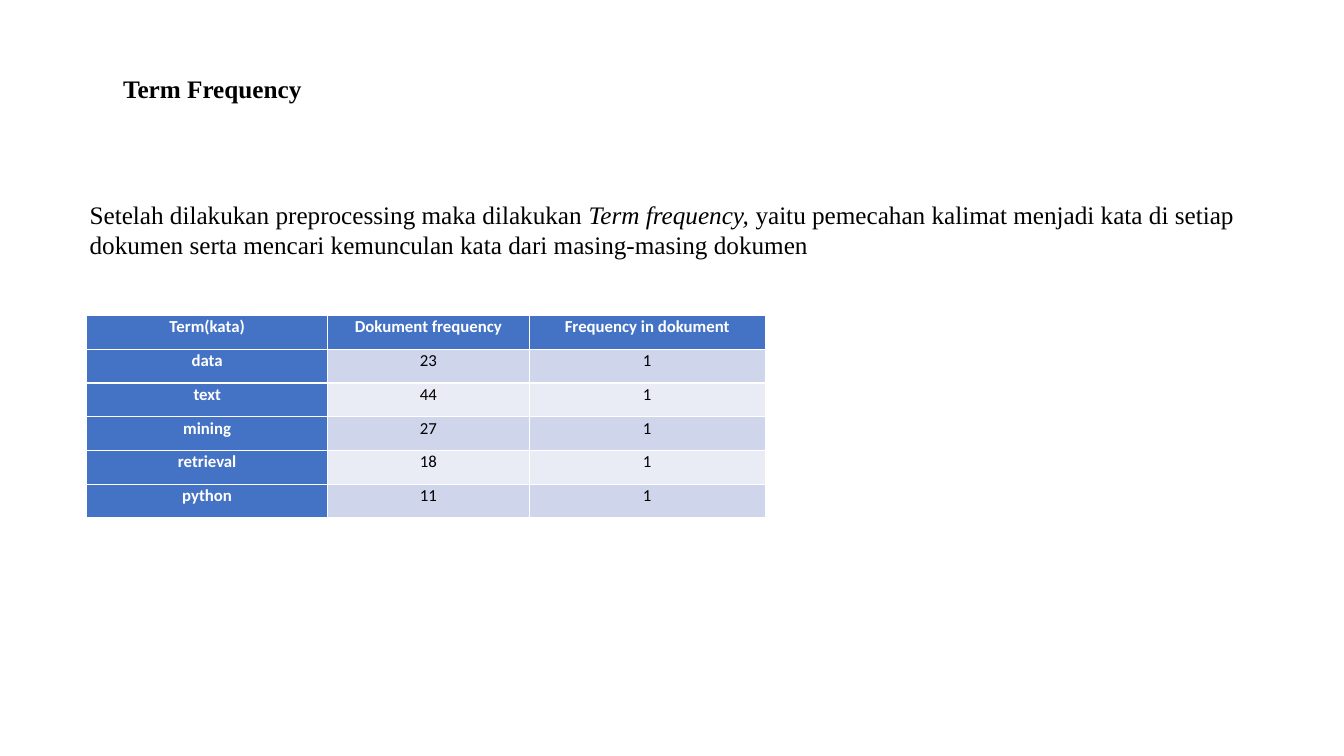
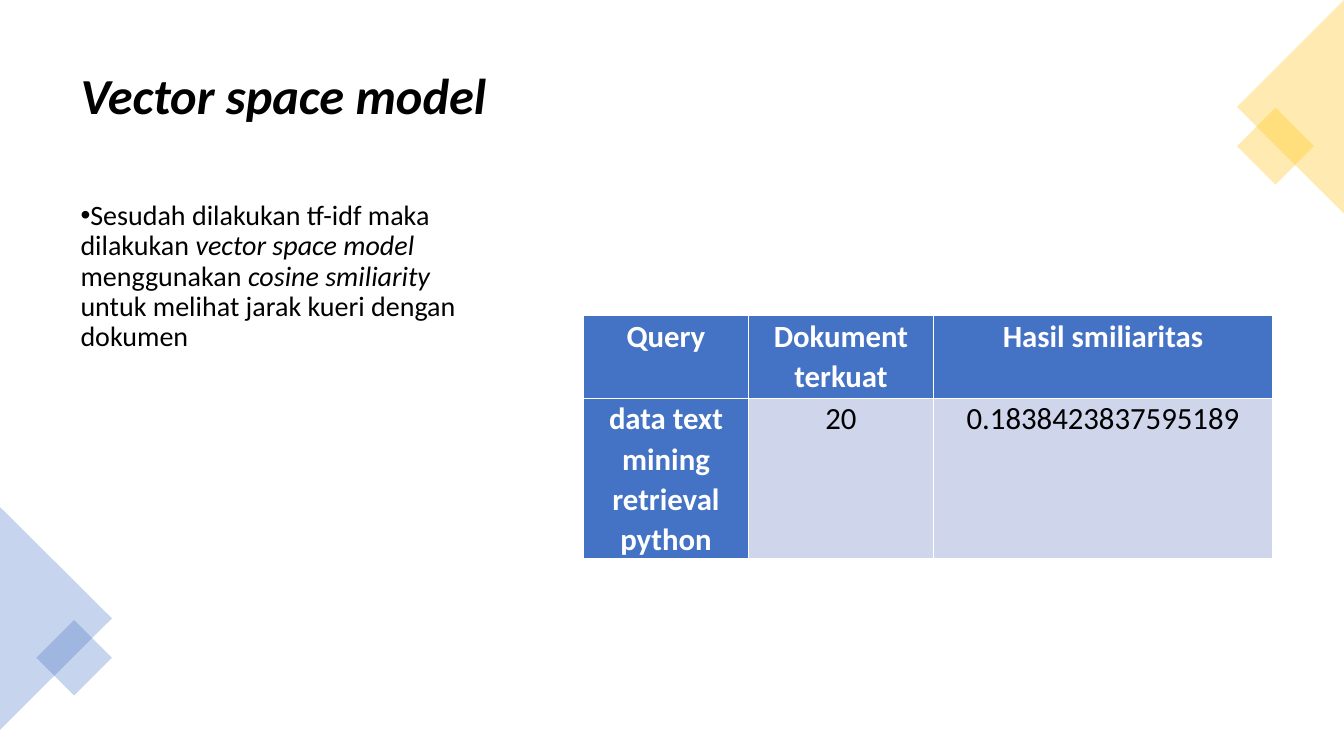
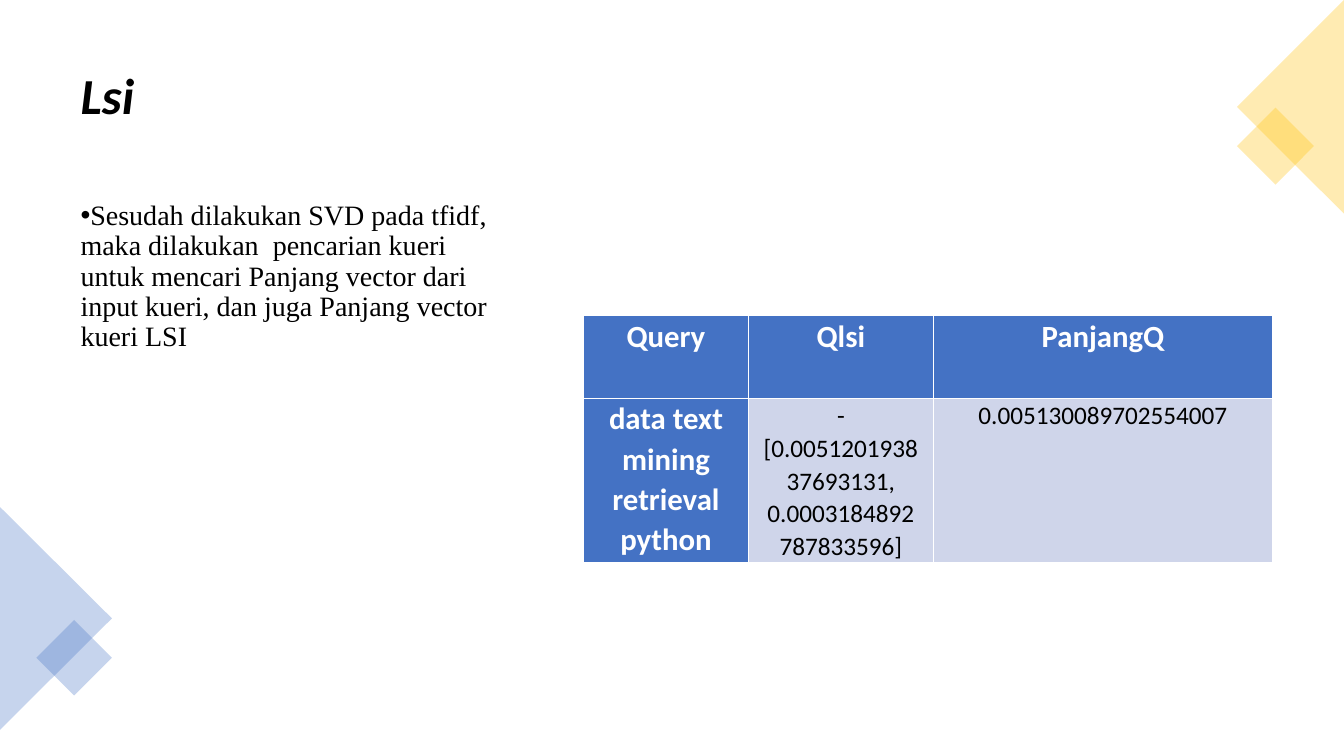
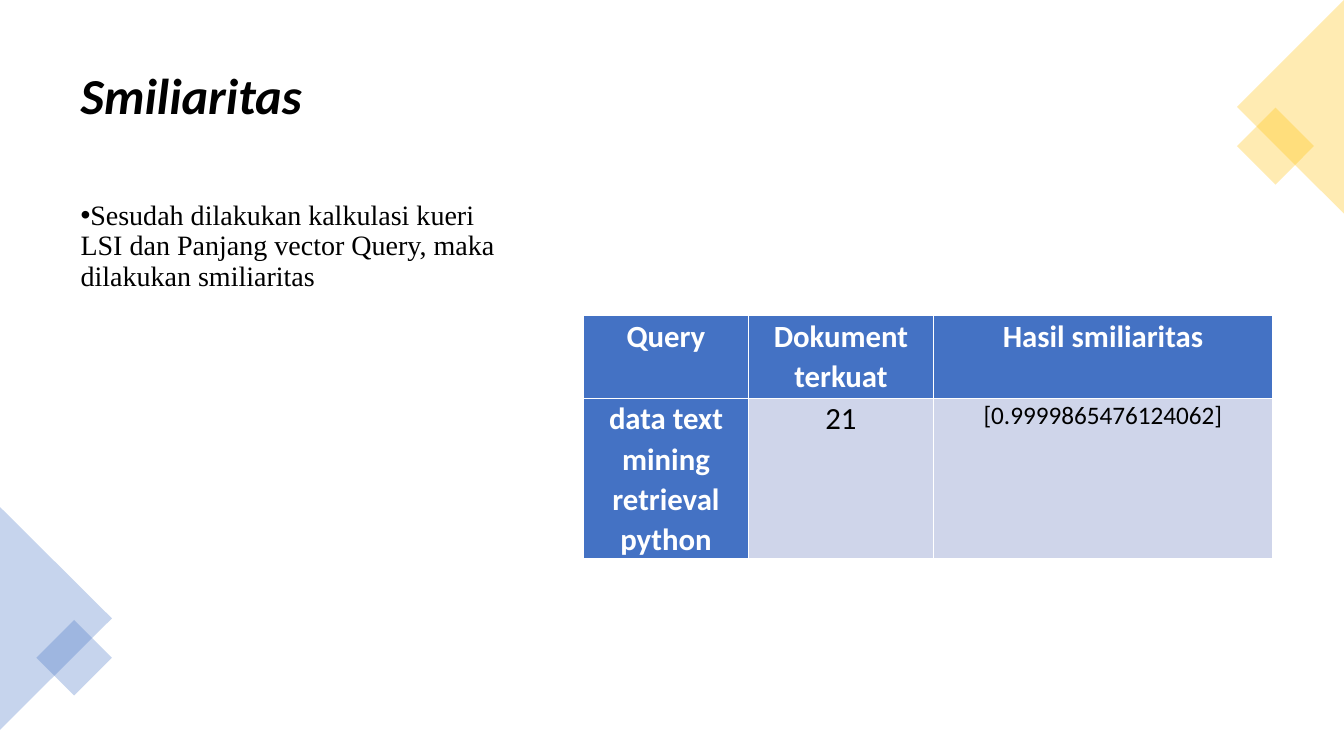
from lxml import etree
from pptx import Presentation
from pptx.dml.color import RGBColor
from pptx.enum.shapes import MSO_SHAPE
from pptx.enum.text import MSO_ANCHOR, MSO_AUTO_SIZE, PP_ALIGN
from pptx.oxml.ns import qn
from pptx.util import Inches, Pt

LEFT, CENTER = PP_ALIGN.LEFT, PP_ALIGN.CENTER
TOP, MIDDLE = MSO_ANCHOR.TOP, MSO_ANCHOR.MIDDLE
NO_AUTOFIT = MSO_AUTO_SIZE.NONE
TRIANGLE, SQUARE = MSO_SHAPE.ISOSCELES_TRIANGLE, MSO_SHAPE.RECTANGLE

BLACK = RGBColor(0x00, 0x00, 0x00)
WHITE = RGBColor(0xFF, 0xFF, 0xFF)
BLUE = RGBColor(0x44, 0x72, 0xC4)
GOLD = RGBColor(0xFF, 0xC0, 0x00)
DARK_BAND = RGBColor(0xCF, 0xD5, 0xEA)
LIGHT_BAND = RGBColor(0xE9, 0xEB, 0xF5)
SANS, SERIF = "Calibri", "Times New Roman"

# Corner ornaments: preset, left, top, width, height, rotation, colour
ORNAMENTS = [
    (TRIANGLE, -0.55, 5.58, 2.21, 1.11, 90, BLUE),
    (SQUARE, 0.47, 6.26, 0.53, 0.53, 45, BLUE),
    (SQUARE, 12.38, 1.18, 0.54, 0.54, 45, GOLD),
    (TRIANGLE, 11.74, 0.53, 2.12, 1.06, 270, GOLD),
]

presentation = Presentation()
presentation.slide_width = Inches(13.33)
presentation.slide_height = Inches(7.5)
title_only = presentation.slide_layouts[5]


def write_text(shape, box, segments, font_name, size, anchor=TOP):
    """Place a text shape and fill one paragraph; every second segment is italic."""
    shape.left, shape.top, shape.width, shape.height = map(Inches, box)
    text_frame = shape.text_frame
    text_frame.word_wrap = True
    text_frame.auto_size = NO_AUTOFIT
    text_frame.vertical_anchor = anchor
    paragraph = text_frame.paragraphs[0]
    paragraph.alignment = LEFT
    for index, segment in enumerate(segments):
        run = paragraph.add_run()
        run.text = segment
        run.font.name, run.font.size = font_name, Pt(size)
        run.font.color.rgb = BLACK
        run.font.italic = index % 2 == 1
    return paragraph


def add_data_table(slide, left, column_widths, row_heights, rows, margin, size, body_sizes):
    """Add a centred table with a blue header row and a blue first column."""
    frame = slide.shapes.add_table(
        len(rows), len(column_widths), Inches(left), Inches(3.13),
        Inches(sum(column_widths)), Inches(sum(row_heights)))
    table = frame.table
    table.first_col = True
    for column, width in zip(table.columns, column_widths):
        column.width = Inches(width)
    for row, height in zip(table.rows, row_heights):
        row.height = Inches(height)
    for row_index, texts in enumerate(rows):
        for column_index, text in enumerate(texts):
            cell = table.cell(row_index, column_index)
            is_heading = row_index == 0 or column_index == 0
            band = DARK_BAND if row_index % 2 else LIGHT_BAND
            cell.fill.solid()
            cell.fill.fore_color.rgb = BLUE if is_heading else band
            cell.margin_left = cell.margin_right = Inches(margin)
            cell.margin_top = cell.margin_bottom = 0
            paragraph = cell.text_frame.paragraphs[0]
            paragraph.text = text
            paragraph.alignment = CENTER
            paragraph.line_spacing = 1.07
            paragraph.space_after = Pt(8)
            font = paragraph.runs[0].font
            font.name = SANS
            font.size = Pt(size if is_heading else body_sizes[column_index - 1])
            font.bold = is_heading
            font.color.rgb = WHITE if is_heading else BLACK


# Term frequency slide
slide = presentation.slides.add_slide(title_only)
title = write_text(slide.shapes.title, (1.12, 0.68, 6.66, 0.4), ["Term Frequency"], SERIF, 18)
title.runs[0].font.bold = True
explanation = slide.shapes.add_textbox(0, 0, 0, 0)
write_text(explanation, (0.79, 1.93, 12.31, 0.71), [
    "Setelah dilakukan preprocessing maka dilakukan ",
    "Term frequency, ",
    "yaitu pemecahan kalimat menjadi kata di setiap dokumen serta mencari "
    "kemunculan kata dari masing-masing dokumen",
], SERIF, 18)
term_rows = [
    ("Term(kata)", "Dokument frequency", "Frequency in dokument"),
    ("data", "23", "1"),
    ("text", "44", "1"),
    ("mining", "27", "1"),
    ("retrieval", "18", "1"),
    ("python", "11", "1"),
]
add_data_table(slide, 0.86, (2.39, 2, 2.34), [2.01 / 6] * 6, term_rows, 0.07, 12, (12, 12))

# Query slides: title, body segments, body font, table header, table values, value sizes
QUERY = "data text mining retrieval python"
SIMILARITY_HEADER = ("Query", "Dokument terkuat", "Hasil smiliaritas")
query_slides = [
    ("Vector space model",
     ["Sesudah dilakukan tf-idf maka dilakukan ", "vector space model ", "menggunakan ",
      "cosine smiliarity ", "untuk melihat jarak kueri dengan dokumen"],
     SANS, SIMILARITY_HEADER, ("20", "0.1838423837595189"), (22, 22)),
    ("Lsi",
     ["Sesudah dilakukan SVD pada tfidf, maka dilakukan  pencarian kueri untuk mencari "
      "Panjang vector dari input kueri, dan juga Panjang vector kueri LSI"],
     SERIF, ("Query", "Qlsi", "PanjangQ"),
     ("-[0.005120193837693131, 0.0003184892787833596]", "0.005130089702554007"), (18, 18)),
    ("Smiliaritas",
     ["Sesudah dilakukan kalkulasi kueri LSI dan Panjang vector Query, maka dilakukan "
      "smiliaritas"],
     SERIF, SIMILARITY_HEADER, ("21", "[0.9999865476124062]"), (22, 18)),
]

for heading, segments, body_font, header, values, value_sizes in query_slides:
    slide = presentation.slides.add_slide(title_only)

    # Title
    title = write_text(slide.shapes.title, (0.7, 0.35, 11.93, 1.24), [heading], SANS, 36, MIDDLE)
    title.line_spacing = 0.9
    title.runs[0].font.bold = title.runs[0].font.italic = True

    # Bulleted body
    body = slide.shapes.add_textbox(0, 0, 0, 0)
    paragraph = write_text(body, (0.7, 1.95, 4.38, 4.81), segments, body_font, 20)
    paragraph.line_spacing = 0.9
    paragraph.space_after = Pt(6)
    properties = paragraph._p.get_or_add_pPr()
    properties.set("marL", "0")
    properties.set("indent", str(-Inches(0.25)))
    etree.SubElement(properties, qn("a:buFont")).set("typeface", "Arial")
    etree.SubElement(properties, qn("a:buChar")).set("char", "•")

    # Translucent corner ornaments
    for preset, left, top, width, height, rotation, color in ORNAMENTS:
        ornament = slide.shapes.add_shape(
            preset, Inches(left), Inches(top), Inches(width), Inches(height))
        ornament.rotation = rotation
        ornament.shadow.inherit = False
        ornament.line.fill.background()
        ornament.fill.solid()
        ornament.fill.fore_color.rgb = color
        color_element = ornament._element.spPr.find(qn("a:solidFill"))[0]
        etree.SubElement(color_element, qn("a:alpha")).set("val", "30000")

    # Result table
    add_data_table(slide, 5.79, (1.63, 1.84, 3.36), (0.82, 1.59),
                   [header, (QUERY, *values)], 0.13, 22, value_sizes)

presentation.save("out.pptx")
